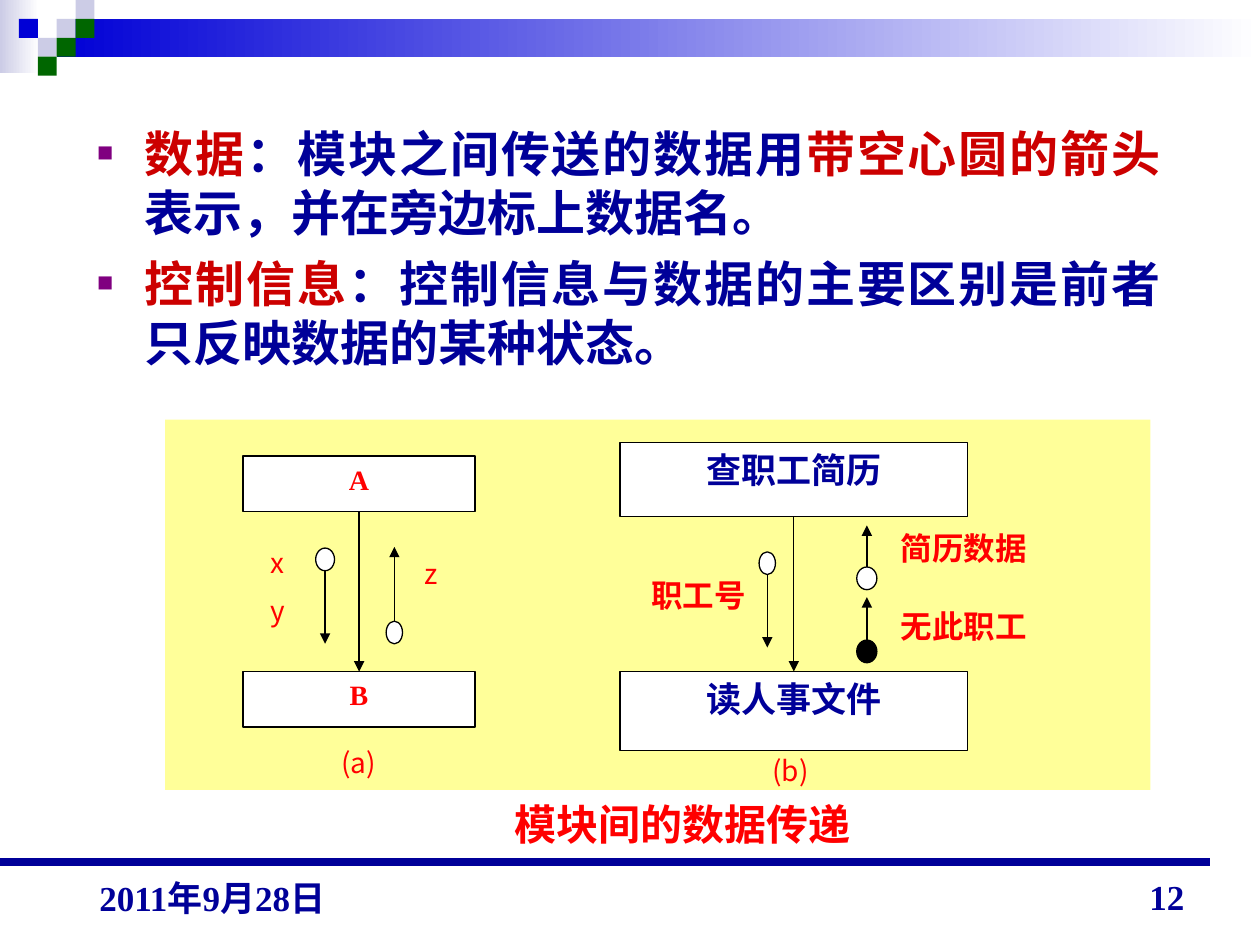
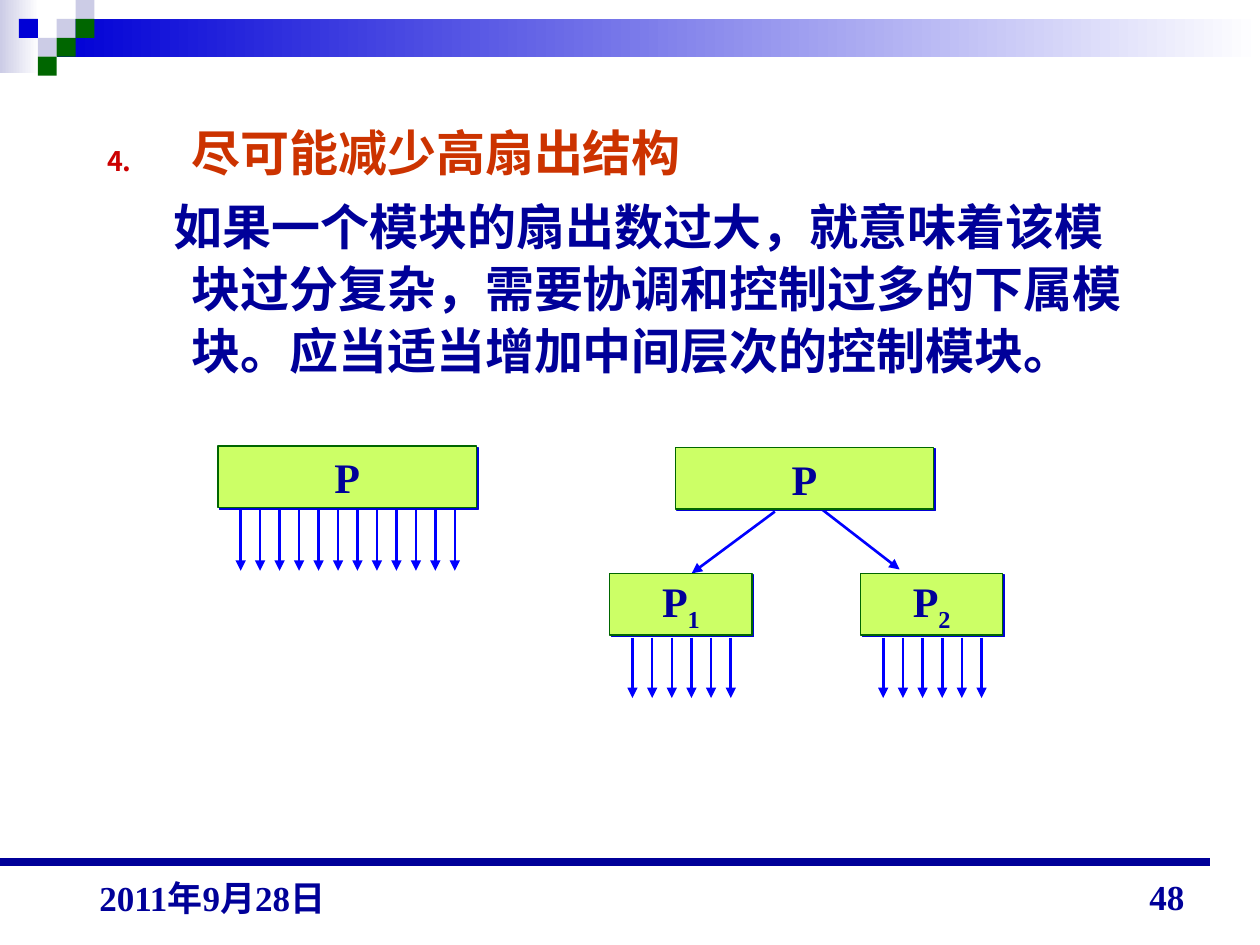
from lxml import etree
from pptx import Presentation
from pptx.dml.color import RGBColor
from pptx.enum.shapes import MSO_CONNECTOR as CONN, MSO_SHAPE as SHAPE
from pptx.enum.text import MSO_ANCHOR as ANCHOR, MSO_AUTO_SIZE as FIT, PP_ALIGN as ALIGN
from pptx.oxml.ns import qn
from pptx.util import Inches, Pt

C = dict(white="FFFFFF", black="000000", navy="000099", blue="0000D6", arrow="0000FF",
         lavender="CCCCE6", green="006600", lime="CCFF66", yellow="FFFF99",
         red="FF0000", crimson="CC0000", rust="CC3300", purple="800080")
SERIF, SANS = "Times New Roman", "Noto Sans CJK SC"


def rgb(name):
    return RGBColor.from_string(C[name])


def child(parent, tag, **attrs):
    return etree.SubElement(parent, qn(tag), {k: str(v) for k, v in attrs.items()})


def add_run(p, text, size=28, color="navy", bold=True, font=SERIF, baseline=0):
    r = p.add_run()
    r.text = text
    r.font.size, r.font.bold, r.font.name = Pt(size), bold, font
    r.font.color.rgb = rgb(color)
    child(r.font._element, "a:ea", typeface=SANS)
    if baseline:
        r.font._element.set("baseline", str(baseline * 1000))


def set_frame(tf, anchor=ANCHOR.TOP, inset=(0.1, 0.05)):
    tf.word_wrap, tf.auto_size, tf.vertical_anchor = True, FIT.NONE, anchor
    tf.margin_left = tf.margin_right = Inches(inset[0])
    tf.margin_top = tf.margin_bottom = Inches(inset[1])


def add_label(s, box, text, align=ALIGN.CENTER, anchor=ANCHOR.TOP, inset=(0, 0), **fmt):
    tf = s.shapes.add_textbox(*map(Inches, box)).text_frame
    set_frame(tf, anchor, inset)
    tf.paragraphs[0].alignment = align
    add_run(tf.paragraphs[0], text, **fmt)


def add_block(s, box, fill, line=None, kind=SHAPE.RECTANGLE):
    sp = s.shapes.add_shape(kind, *map(Inches, box))
    sp.shadow.inherit = False
    sp.fill.solid()
    sp.fill.fore_color.rgb = rgb(fill)
    if line:
        sp.line.color.rgb, sp.line.width = rgb(line), Pt(0.75)
    else:
        sp.line.fill.background()
    return sp


def add_fade(s, box, color):
    """Band that fades from the colour at its left to white."""
    sp = add_block(s, box, color)
    sp.fill.gradient()
    sp.fill.gradient_angle = 180
    for stop, name in zip(sp.fill.gradient_stops, ("white", color)):
        stop.color.rgb = rgb(name)


def add_line(s, start, end, color="black", width=0.75, head=True):
    ln = s.shapes.add_connector(CONN.STRAIGHT, *map(Inches, (*start, *end)))
    ln.line.color.rgb, ln.line.width = rgb(color), Pt(width)
    if head:
        child(ln.line._get_or_add_ln(), "a:tailEnd", type="triangle")
    child(ln._element.spPr, "a:effectLst")
    return ln


def add_frame(s, number):
    """Header bands, checker squares, rule, date and slide number."""
    add_fade(s, (0, 0, 0.31, 0.58), "lavender")
    add_fade(s, (0.45, 0.15, 9.55, 0.3), "blue")
    unit = 0.15
    for col, row, color in ((3, 1, "lavender"), (4, 0, "lavender"), (4, 1, "green"),
                            (2, 2, "lavender"), (1, 1, "blue"), (3, 2, "green"),
                            (2, 3, "green")):
        add_block(s, (col * unit, row * unit, unit, unit), color)
    add_line(s, (0, 6.84), (9.6, 6.84), "navy", 4.5, head=False)
    footer = dict(anchor=ANCHOR.BOTTOM, inset=(0.1, 0.05), size=20)
    add_label(s, (7.17, 6.83, 2.33, 0.5), str(number), ALIGN.RIGHT, **footer)
    add_label(s, (0.69, 6.82, 2.33, 0.52), "2011年9月28日", ALIGN.LEFT, **footer)


def new_slide(prs, number):
    s = prs.slides.add_slide(prs.slide_layouts[1])
    title = s.shapes.title._element
    title.getparent().remove(title)
    add_frame(s, number)
    return s


def set_bullet(p, margin, indent, color=None, tag="a:buNone", **attrs):
    pPr = p._p.get_or_add_pPr()
    pPr.set("marL", str(Inches(margin)))
    pPr.set("indent", str(Inches(indent)))
    if color:
        child(child(pPr, "a:buClr"), "a:srgbClr", val=C[color])
        child(pPr, "a:buSzPct", val=55000)
        child(pPr, "a:buFont", typeface=SERIF if tag == "a:buChar" else SANS)
    child(pPr, tag, **attrs)


def fill_body(s, box, paras, align, spacing):
    """Each paragraph is a bullet dict and its runs of (text, colour)."""
    body = s.placeholders[1]
    body.left, body.top, body.width, body.height = map(Inches, box)
    tf = body.text_frame
    set_frame(tf)
    for i, (bullet, runs) in enumerate(paras):
        p = tf.add_paragraph() if i else tf.paragraphs[0]
        p.alignment, p.line_spacing = align, spacing
        p.space_before = Pt(7 if i else 0)
        set_bullet(p, **bullet)
        for text, color in runs:
            add_run(p, text, color=color)


def add_couple(s, x, y, width, tip, fill="white"):
    """Circle centred on (x, y) with an arrow from its edge to the tip."""
    half = 0.09
    add_line(s, (x, y + (half if tip > y else -half)), (x, tip))
    add_block(s, (x - width / 2, y - half, width, 2 * half), fill, "black", SHAPE.OVAL)


def add_call(s, box, modules, heights, couples, labels, **fmt):
    """Caller above callee; couples and labels are placed from the box corner."""
    x, y, w, h = box
    tops = (y, y + h - heights[1])
    blocks = []
    for name, top, height in zip(modules, tops, heights):
        sp = add_block(s, (x, top, w, height), "white", "black")
        set_frame(sp.text_frame)
        p = sp.text_frame.paragraphs[0]
        p.alignment = ALIGN.CENTER
        add_run(p, name, **fmt)
        blocks.append(sp)
    call = add_line(s, (x + w / 2, y + heights[0]), (x + w / 2, tops[1]))
    call.begin_connect(blocks[0], 2)
    call.end_connect(blocks[1], 0)
    for dx, dy, width, tip, fill in couples:
        add_couple(s, x + dx, y + dy, width, y + tip, fill)
    for text, dx, dy, width, size, bold in labels:
        add_label(s, (x + dx, y + dy, width, 0.35), text, size=size, bold=bold,
                  font=SANS, color="red")


def add_fan(s, box, count, name, sub=""):
    """Module box with evenly spaced arrows leaving its lower side."""
    x, y, w, h = box
    first, last, top = x + 0.18, x + w - 0.17, y + h + 0.02
    for i in range(count):
        ax = first + i * (last - first) / (count - 1) if count > 1 else x + w / 2
        add_line(s, (ax, top), (ax, top + 0.48), "arrow", 1.5)
    sp = add_block(s, box, "lime", "green")
    shadow = child(sp._element.spPr.find(qn("a:effectLst")), "a:outerShdw",
                   dist=Pt(1.4), dir=45 * 60000, algn="ctr", rotWithShape=0)
    child(shadow, "a:srgbClr", val=C["blue"])
    set_frame(sp.text_frame, ANCHOR.MIDDLE)
    p = sp.text_frame.paragraphs[0]
    p.alignment = ALIGN.CENTER
    add_run(p, name, size=24)
    if sub:
        add_run(p, sub, size=24, baseline=-25)


def build_data_slide(prs):
    s = new_slide(prs, 12)
    square = dict(margin=0.38, indent=-0.38, color="purple", tag="a:buChar", char="■")
    fill_body(s, (0.67, 0.93, 8.64, 2.21), [
        (square, [("数据", "crimson"), ("：模块之间传送的数据用", "navy"),
                  ("带空心圆的箭头", "crimson"), ("表示，并在旁边标上数据名。", "navy")]),
        (square, [("控制信息", "crimson"),
                  ("：控制信息与数据的主要区别是前者只反映数据的某种状态。", "navy")]),
    ], ALIGN.JUSTIFY, 1.0)
    add_block(s, (1.31, 3.33, 7.82, 2.94), "yellow")
    add_label(s, (2.48, 6.34, 5.88, 0.35), "模块间的数据传递", size=24, font=SANS, color="red")
    add_call(s, (1.93, 3.62, 1.84, 2.15), ("A", "B"), (0.44, 0.44),
             [(0.65, 0.82, 0.15, 1.49, "white"), (1.2, 1.4, 0.13, 0.72, "white")],
             [("x", -0.09, 0.71, 0.73, 16, False), ("y", -0.09, 1.09, 0.73, 16, False),
              ("z", 1.12, 0.8, 0.74, 16, False), ("(a)", 0.18, 2.3, 1.47, 16, False)],
             size=16, color="red")
    add_call(s, (4.92, 3.51, 2.76, 2.45), ("查职工简历", "读人事文件"), (0.59, 0.63),
             [(1.17, 0.96, 0.13, 1.63, "white"), (1.96, 1.08, 0.16, 0.66, "white"),
              (1.96, 1.66, 0.16, 1.23, "black")],
             [("职工号", -0.05, 1.06, 1.35, 18, True), ("简历数据", 1.92, 0.69, 1.62, 18, True),
              ("无此职工", 1.92, 1.31, 1.62, 18, True), ("(b)", 0.62, 2.47, 1.47, 16, False)],
             size=20, font=SANS)


def build_fan_out_slide(prs):
    s = new_slide(prs, 48)
    number = dict(margin=0.67, indent=-0.67, color="crimson", tag="a:buAutoNum",
                  type="arabicPeriod", startAt=4)
    fill_body(s, (0.75, 0.9, 8.44, 3.06), [
        (number, [("尽可能减少高扇出结构", "rust")]),
        (dict(margin=0.67, indent=-0.14),
         [("如果一个模块的扇出数过大，就意味着该模块过分复杂，需要协调和控制过多的下属模块。"
           "应当适当增加中间层次的控制模块。", "navy")]),
    ], ALIGN.LEFT, 1.05)
    add_fan(s, (1.73, 3.54, 2.05, 0.49), 12, "P")
    add_line(s, (6.52, 4.04), (7.14, 4.52), "arrow", 1.5)
    add_line(s, (6.15, 4.06), (5.49, 4.55), "arrow", 1.5)
    add_fan(s, (5.36, 3.55, 2.05, 0.49), 0, "P")
    for x, sub in ((4.84, "1"), (6.83, "2")):
        add_fan(s, (x, 4.55, 1.13, 0.49), 6, "P", sub)


def main():
    prs = Presentation()
    prs.slide_width, prs.slide_height = Inches(10), Inches(7.5)
    build_data_slide(prs)
    build_fan_out_slide(prs)
    prs.save("out.pptx")


if __name__ == "__main__":
    main()
